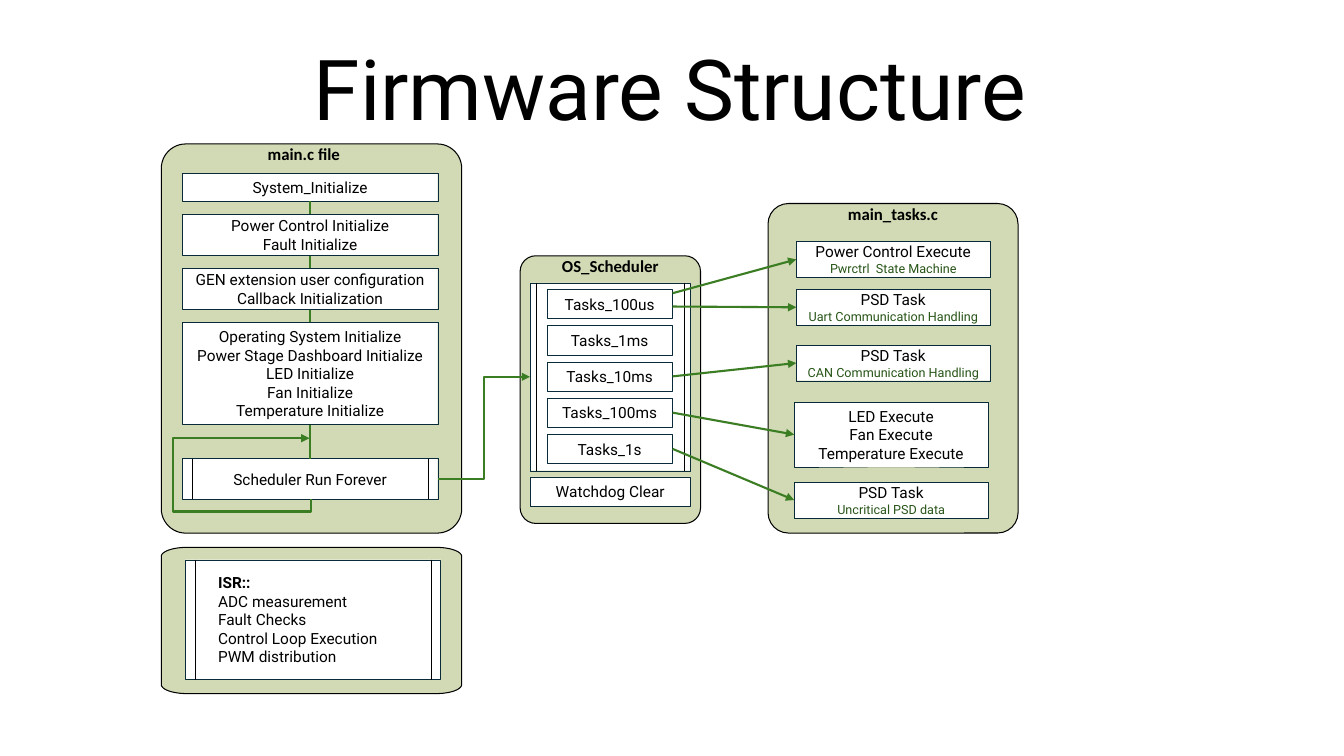
from dataclasses import dataclass
from math import cos, pi, sin

from lxml.etree import SubElement
from pptx import Presentation
from pptx.dml.color import RGBColor
from pptx.enum.shapes import MSO_CONNECTOR as Link, MSO_SHAPE as Preset
from pptx.enum.text import MSO_ANCHOR as Anchor, PP_ALIGN as Align
from pptx.oxml.ns import qn
from pptx.util import Pt

TOP, LEFT, BOTTOM, RIGHT = range(4)  # connection sites of a rectangle


@dataclass(frozen=True)
class Theme:
    ink: str = "000000"
    note_ink: str = "275417"
    panel: str = "D1DAB4"
    box: str = "FFFFFF"
    box_line: str = "092A39"
    flow: str = "3B7D23"
    body_font: str = "Roboto"
    label_font: str = "Calibri"
    title_size: float = 60
    label_size: float = 12
    body_size: float = 11
    note_size: float = 9
    hairline: float = 0.25
    flow_width: float = 1.5


THEME = Theme()


def color(code):
    return RGBColor.from_string(code)


def write(shape, text, note="", size=THEME.body_size, font=THEME.body_font,
          bold_lines=0, align=Align.CENTER, anchor=Anchor.MIDDLE,
          indent=0, spacing=None):
    """Fill a shape with one paragraph per line; note is a smaller last line."""
    frame = shape.text_frame
    frame.word_wrap = True
    frame.vertical_anchor = anchor
    frame.margin_left = Pt(indent)
    frame.margin_right = frame.margin_top = frame.margin_bottom = 0
    lines = [(line, size, THEME.ink) for line in text.split("\n")]
    if note:
        lines.append((note, THEME.note_size, THEME.note_ink))
    for index, (line, line_size, ink) in enumerate(lines):
        para = frame.paragraphs[0] if index == 0 else frame.add_paragraph()
        para.alignment = align
        para.line_spacing = spacing
        span = para.add_run()
        span.text = line
        span.font.name = font
        span.font.size = Pt(line_size)
        span.font.bold = index < bold_lines
        span.font.color.rgb = color(ink)


def text_box(page, left, top, width, height, text, **text_format):
    box = page.shapes.add_textbox(Pt(left), Pt(top), Pt(width), Pt(height))
    write(box, text, **text_format)


def paint(shape, fill, line, width):
    shape.shadow.inherit = False
    shape.fill.solid()
    shape.fill.fore_color.rgb = color(fill)
    shape.line.color.rgb = color(line)
    shape.line.width = Pt(width)


def add_box(page, left, top, width, height, text="", **text_format):
    box = page.shapes.add_shape(Preset.RECTANGLE, Pt(left), Pt(top), Pt(width), Pt(height))
    paint(box, THEME.box, THEME.box_line, THEME.hairline)
    if text:
        write(box, text, **text_format)
    return box


def add_link(page, kind, start, end, ink=THEME.flow, width=THEME.flow_width, arrow=False):
    """Draw a connector; each end is an (x, y) point or a (shape, site) pair."""
    glued = [not isinstance(spot[0], (int, float)) for spot in (start, end)]
    points = [(0, 0) if joined else spot for joined, spot in zip(glued, (start, end))]
    link = page.shapes.add_connector(kind, *(Pt(value) for point in points for value in point))
    if glued[0]:
        link.begin_connect(*start)
    if glued[1]:
        link.end_connect(*end)
    link.line.color.rgb = color(ink)
    link.line.width = Pt(width)
    if arrow:
        SubElement(link.line._get_or_add_ln(), qn("a:tailEnd"), type="triangle")
    SubElement(link.element.spPr, qn("a:effectLst"))
    return link


def add_process(page, left, top, width, height, bar, text="", **text_format):
    """Draw a box with a vertical bar near each side."""
    box = add_box(page, left, top, width, height, text, **text_format)
    for x in (left + bar, left + width - bar):
        add_link(page, Link.STRAIGHT, (x, top), (x, top + height), THEME.ink, THEME.hairline)
    return box


def add_panel(page, left, top, width, height, radius, label, shift=0):
    panel = page.shapes.add_shape(Preset.ROUNDED_RECTANGLE, Pt(left), Pt(top), Pt(width), Pt(height))
    panel.adjustments[0] = radius / min(width, height)
    paint(panel, THEME.panel, THEME.ink, 0)
    text_box(page, left + shift, top, width, 16, label, size=THEME.label_size,
             font=THEME.label_font, bold_lines=1, anchor=Anchor.TOP)


def add_flat_panel(page, left, top, width, height, radius_x, radius_y, steps=12):
    """Draw a panel whose corners are quarter ellipses."""
    centres = [(left + width - radius_x, top + height - radius_y),
               (left + radius_x, top + height - radius_y),
               (left + radius_x, top + radius_y),
               (left + width - radius_x, top + radius_y)]
    outline = []
    for corner, (x, y) in enumerate(centres):
        for step in range(steps + 1):
            angle = (corner + step / steps) * pi / 2
            outline.append((Pt(x + radius_x * cos(angle)), Pt(y + radius_y * sin(angle))))
    builder = page.shapes.build_freeform(*outline[0])
    builder.add_line_segments(outline[1:])
    paint(builder.convert_to_shape(), THEME.panel, THEME.ink, 0)


def add_run_loop(page, x, bottom, top, reach, drop):
    """Lead an arrow from a box's bottom around its left side and up to the flow line."""
    middle, half = (bottom + top) / 2, (bottom - top) / 2
    link = add_link(page, Link.ELBOW, (x + half, middle - 0.5), (x - half, middle + 0.5), arrow=True)
    link.element.spPr.find(qn("a:xfrm")).set("rot", "5400000")
    geometry = link.element.spPr.find(qn("a:prstGeom"))
    geometry.set("prst", "bentConnector5")
    guides = geometry.find(qn("a:avLst"))
    if guides is None:
        guides = SubElement(geometry, qn("a:avLst"))
    for number, share in enumerate((-drop / (2 * half), reach, 1), 1):
        SubElement(guides, qn("a:gd"), name=f"adj{number}", fmla=f"val {round(share * 100000)}")


def main_file(page, left, top, width, height):
    add_panel(page, left, top, width, height, 17.5, "main.c file", shift=-5.5)
    x, step_width = left + 15.3, 182.2
    first = add_box(page, x, top + 20.9, step_width, 20.2, "System_Initialize")
    run_top, run_height = top + 224.8, 29
    scheduler = add_process(page, x, run_top, step_width, run_height, 6.8, "Scheduler Run Forever")
    add_link(page, Link.STRAIGHT, (first, BOTTOM), (scheduler, TOP))
    for offset, step_height, text in (
            (50.4, 29, "Power Control Initialize\nFault Initialize"),
            (89.1, 29, "GEN extension user configuration\nCallback Initialization"),
            (127.6, 72.7, "Operating System Initialize\nPower Stage Dashboard Initialize\n"
                          "LED Initialize\nFan Initialize\nTemperature Initialize")):
        add_box(page, x, top + offset, step_width, step_height, text)
    add_run_loop(page, x + step_width / 2, run_top + run_height, run_top - 14.6, reach=99.2, drop=8.8)
    return scheduler


def os_scheduler(page, left, top, width, height):
    add_panel(page, left, top, width, height, 11.2, "OS_Scheduler")
    x, frame_width = left + 7.2, width - 14.4
    frame = add_process(page, x, top + 19.4, frame_width, 134.2, 4.3)
    tasks = [add_box(page, left + 19, top + 23.9 + 25.9 * row, 90, 20.9, f"Tasks_{period}")
             for row, period in enumerate(("100us", "1ms", "10ms", "100ms", "1s"))]
    add_box(page, x, top + 157.9, frame_width, 20.9, "Watchdog Clear")
    return frame, tasks


def main_tasks(page, left, top, width, height):
    add_panel(page, left, top, width, height, 14.6, "main_tasks.c")
    rows = ((20.2, 27.2, 25.4, "Power Control Execute", "Pwrctrl  State Machine"),
            (20.2, 61.4, 25.4, "PSD Task", "Uart Communication Handling"),
            (20.2, 101.2, 25.4, "PSD Task", "CAN Communication Handling"),
            (18.7, 142, 46.1, "LED Execute\nFan Execute\nTemperature Execute", ""),
            (18.7, 199.1, 25.4, "PSD Task", "Uncritical PSD data"))
    return [add_box(page, left + x, top + y, 138.5, row_height, text, note=note)
            for x, y, row_height, text, note in rows]


def interrupts(page, left, top, width, height):
    add_flat_panel(page, left, top, width, height, 18, 6.5)
    add_process(page, left + 17.3, top + 8.8, 182.2, 85.7, 6.9,
                "ISR::\nADC measurement\nFault Checks\nControl Loop Execution\nPWM distribution",
                bold_lines=1, align=Align.LEFT, indent=23.3)


def link_tasks(page, tasks, handlers):
    off_middle = {0: -7.6, 1: 1.9}
    for target, source in enumerate((0, 0, 2, 3, 4)):
        task, start = tasks[source], (tasks[source], RIGHT)
        if target in off_middle:
            start = ((task.left + task.width) / Pt(1),
                     (task.top + task.height / 2) / Pt(1) + off_middle[target])
        add_link(page, Link.STRAIGHT, start, (handlers[target], LEFT), arrow=True)


def main():
    deck = Presentation()
    deck.slide_width, deck.slide_height = Pt(960), Pt(540)
    page = deck.slides.add_slide(deck.slide_layouts[6])
    text_box(page, 64.8, -1.4, 828, 100.8, "Firmware Structure",
             size=THEME.title_size, anchor=Anchor.BOTTOM, spacing=0.9)
    runner = main_file(page, 115.2, 102.8, 214.6, 278)
    frame, tasks = os_scheduler(page, 371.5, 182.7, 128.9, 191.2)
    add_link(page, Link.ELBOW, (runner, RIGHT), (frame, LEFT), arrow=True)
    handlers = main_tasks(page, 548.6, 145.4, 178.6, 235.4)
    link_tasks(page, tasks, handlers)
    interrupts(page, 115.2, 391, 214.6, 104.4)
    deck.save("out.pptx")


if __name__ == "__main__":
    main()
